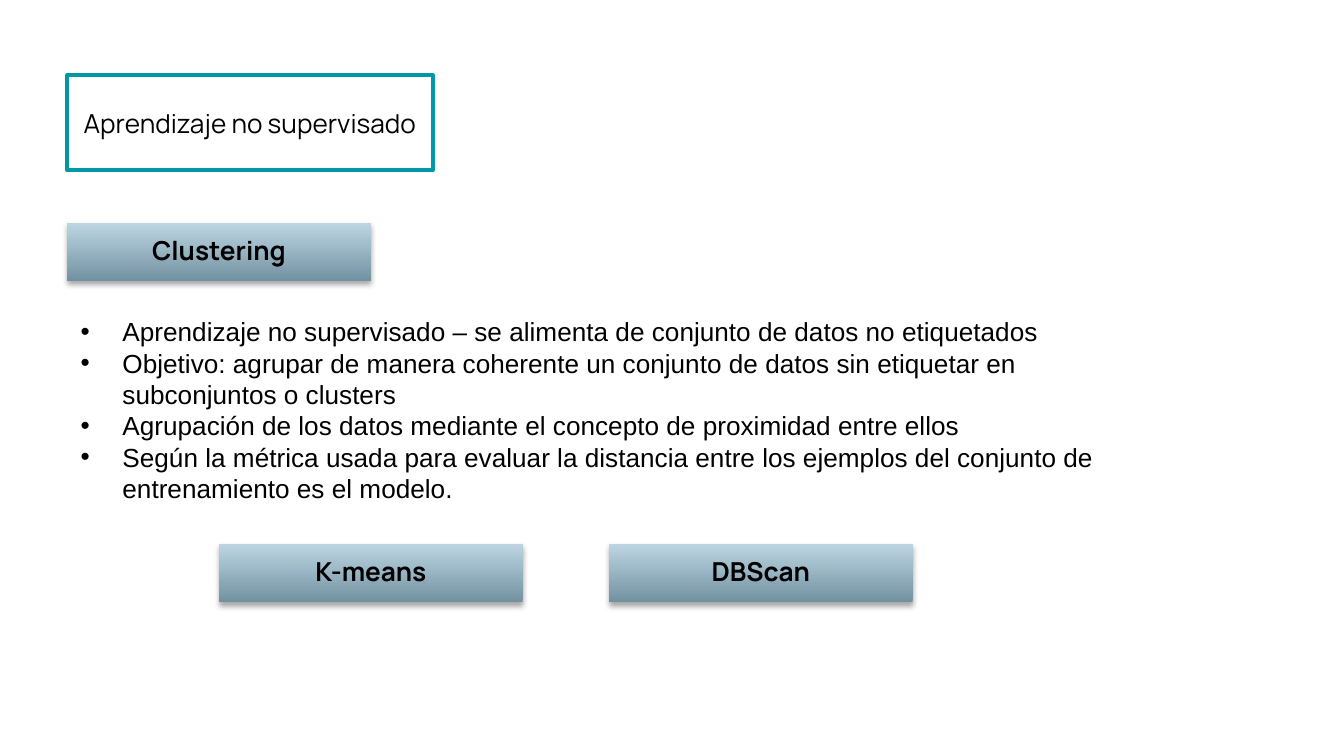
from dataclasses import dataclass

from lxml.etree import SubElement
from pptx import Presentation
from pptx.dml.color import RGBColor
from pptx.enum.shapes import MSO_SHAPE
from pptx.enum.text import MSO_ANCHOR, MSO_AUTO_SIZE, PP_ALIGN
from pptx.oxml.ns import qn
from pptx.shapes.autoshape import Shape
from pptx.slide import Slide
from pptx.text.text import _Paragraph as Paragraph
from pptx.util import Cm, Pt

BLACK = RGBColor(0x00, 0x00, 0x00)
WHITE = RGBColor(0xFF, 0xFF, 0xFF)
TEAL = RGBColor(0x00, 0x97, 0xA7)
DARK_STEEL = RGBColor(0x73, 0x92, 0xA1)
LIGHT_STEEL = RGBColor(0xBD, 0xD5, 0xE2)

HEADING_FONT = "Manrope"
BODY_FONT = "Arial"
TEXT_SIZE = Pt(14)
LEFT_MARGIN = Cm(1.27)
LABEL_WIDTH, LABEL_HEIGHT = Cm(5.74), Cm(1.09)
ALGORITHM_TOP = Cm(10.29)
BULLET_INDENT = Cm(0.79)

BULLETS = (
    "Aprendizaje no supervisado – se alimenta de conjunto de datos no etiquetados",
    "Objetivo: agrupar de manera coherente un conjunto de datos sin etiquetar en "
    "subconjuntos o clusters",
    "Agrupación de los datos mediante el concepto de proximidad entre ellos",
    "Según la métrica usada para evaluar la distancia entre los ejemplos del "
    "conjunto de entrenamiento es el modelo.",
)


@dataclass(frozen=True)
class Label:
    text: str
    left: int
    top: int


LABELS = (
    Label("Clustering", LEFT_MARGIN, Cm(4.22)),
    Label("K-means", Cm(4.14), ALGORITHM_TOP),
    Label("DBScan", Cm(11.51), ALGORITHM_TOP),
)


def place(shape: Shape, left: int, top: int, width: int, height: int) -> None:
    shape.left, shape.top, shape.width, shape.height = left, top, width, height


def add_text(paragraph: Paragraph, text: str, font_name: str, bold: bool = False) -> None:
    run = paragraph.add_run()
    run.text = text
    run.font.name = font_name
    run.font.size = TEXT_SIZE
    run.font.bold = bold
    run.font.color.rgb = BLACK


def add_bullet(paragraph: Paragraph) -> None:
    properties = paragraph._p.get_or_add_pPr()
    properties.set("marL", str(BULLET_INDENT))
    properties.set("indent", str(-BULLET_INDENT))
    color = SubElement(properties, qn("a:buClr"))
    SubElement(color, qn("a:srgbClr"), val=str(BLACK))
    SubElement(properties, qn("a:buFont"), typeface=BODY_FONT)
    SubElement(properties, qn("a:buChar"), char="•")


def add_shadow(shape: Shape) -> None:
    shape.shadow.inherit = False
    effects = shape._element.spPr.find(qn("a:effectLst"))
    shadow = SubElement(effects, qn("a:outerShdw"), blurRad=str(Pt(3.1)),
                        dist=str(Pt(1.8)), dir="5400000", rotWithShape="0")
    color = SubElement(shadow, qn("a:srgbClr"), val=str(BLACK))
    SubElement(color, qn("a:alpha"), val="35000")


def fill_title(slide: Slide) -> None:
    title = slide.shapes.title
    place(title, LEFT_MARGIN, Cm(1.42), Cm(6.91), Cm(1.8))
    title.fill.solid()
    title.fill.fore_color.rgb = WHITE
    title.line.color.rgb = TEAL
    title.line.width = Pt(2)
    frame = title.text_frame
    frame.auto_size = MSO_AUTO_SIZE.NONE
    frame.vertical_anchor = MSO_ANCHOR.MIDDLE
    paragraph = frame.paragraphs[0]
    paragraph.alignment = PP_ALIGN.CENTER
    add_text(paragraph, "Aprendizaje no supervisado", HEADING_FONT)


def fill_body(slide: Slide) -> None:
    body = slide.placeholders[1]
    place(body, LEFT_MARGIN, Cm(5.84), Cm(20.45), Cm(4.45))
    frame = body.text_frame
    frame.word_wrap = True
    frame.auto_size = MSO_AUTO_SIZE.SHAPE_TO_FIT_TEXT
    frame.vertical_anchor = MSO_ANCHOR.TOP
    for index, text in enumerate(BULLETS):
        paragraph = frame.add_paragraph() if index else frame.paragraphs[0]
        add_bullet(paragraph)
        paragraph.space_before = Pt(0)
        add_text(paragraph, text, BODY_FONT)


def add_label(slide: Slide, label: Label) -> None:
    shape = slide.shapes.add_shape(
        MSO_SHAPE.RECTANGLE, label.left, label.top, LABEL_WIDTH, LABEL_HEIGHT)
    shape.fill.gradient()
    shape.fill.gradient_angle = 90
    for stop, color in zip(shape.fill.gradient_stops, (DARK_STEEL, LIGHT_STEEL)):
        stop.color.rgb = color
    shape.line.fill.background()
    add_shadow(shape)
    frame = shape.text_frame
    frame.word_wrap = True
    frame.vertical_anchor = MSO_ANCHOR.MIDDLE
    frame.margin_left = frame.margin_right = Cm(0.18)
    frame.margin_top = frame.margin_bottom = Cm(0.18)
    paragraph = frame.paragraphs[0]
    paragraph.alignment = PP_ALIGN.CENTER
    paragraph.line_spacing = 0.9
    paragraph.space_after = Pt(5)
    add_text(paragraph, label.text, HEADING_FONT, bold=True)


def main() -> None:
    presentation = Presentation()
    presentation.slide_width, presentation.slide_height = Cm(25.4), Cm(14.29)
    slide = presentation.slides.add_slide(presentation.slide_layouts[1])

    # Heading and explanation
    fill_title(slide)
    fill_body(slide)

    # Technique and its algorithms
    for label in LABELS:
        add_label(slide, label)

    presentation.save("out.pptx")


if __name__ == "__main__":
    main()
